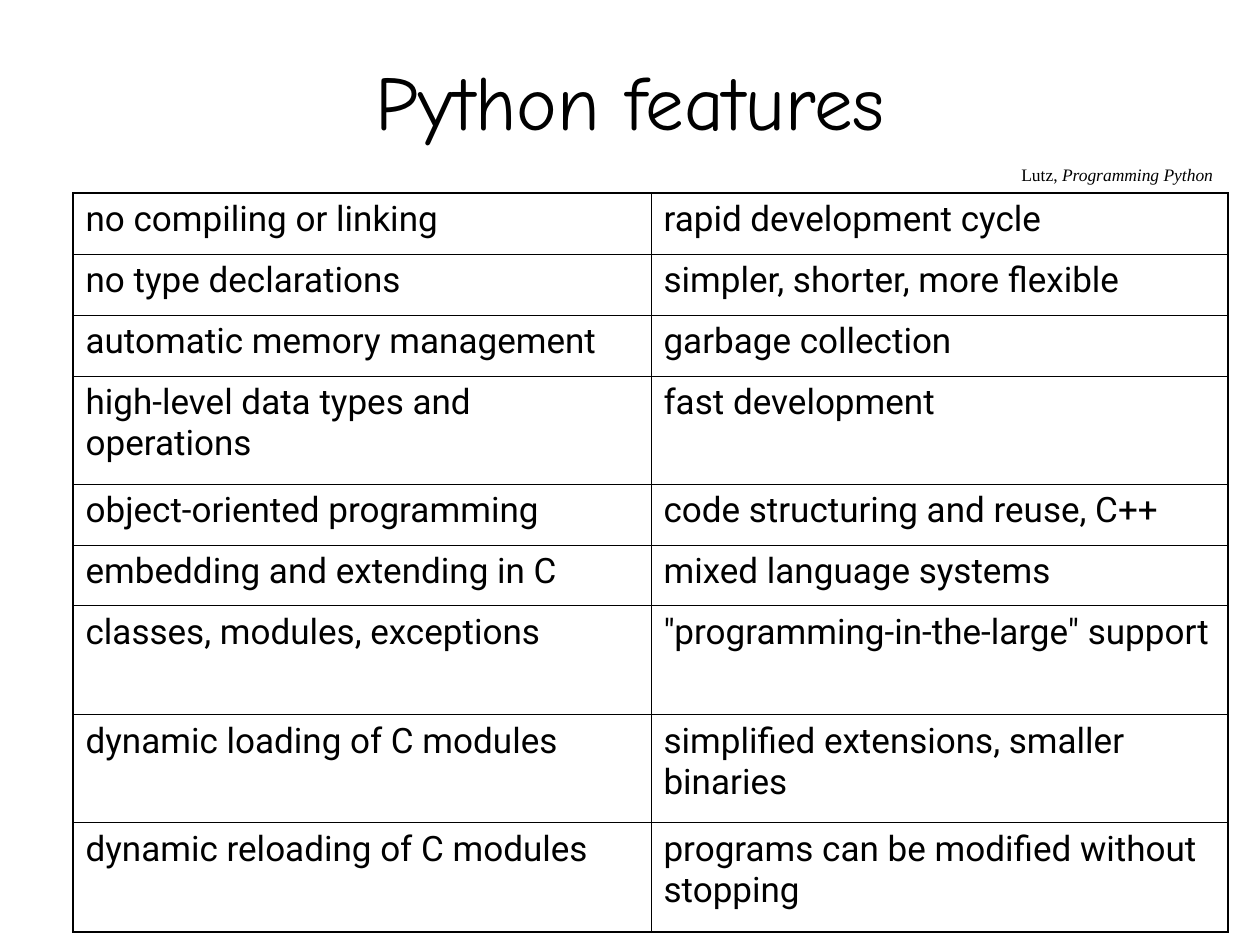
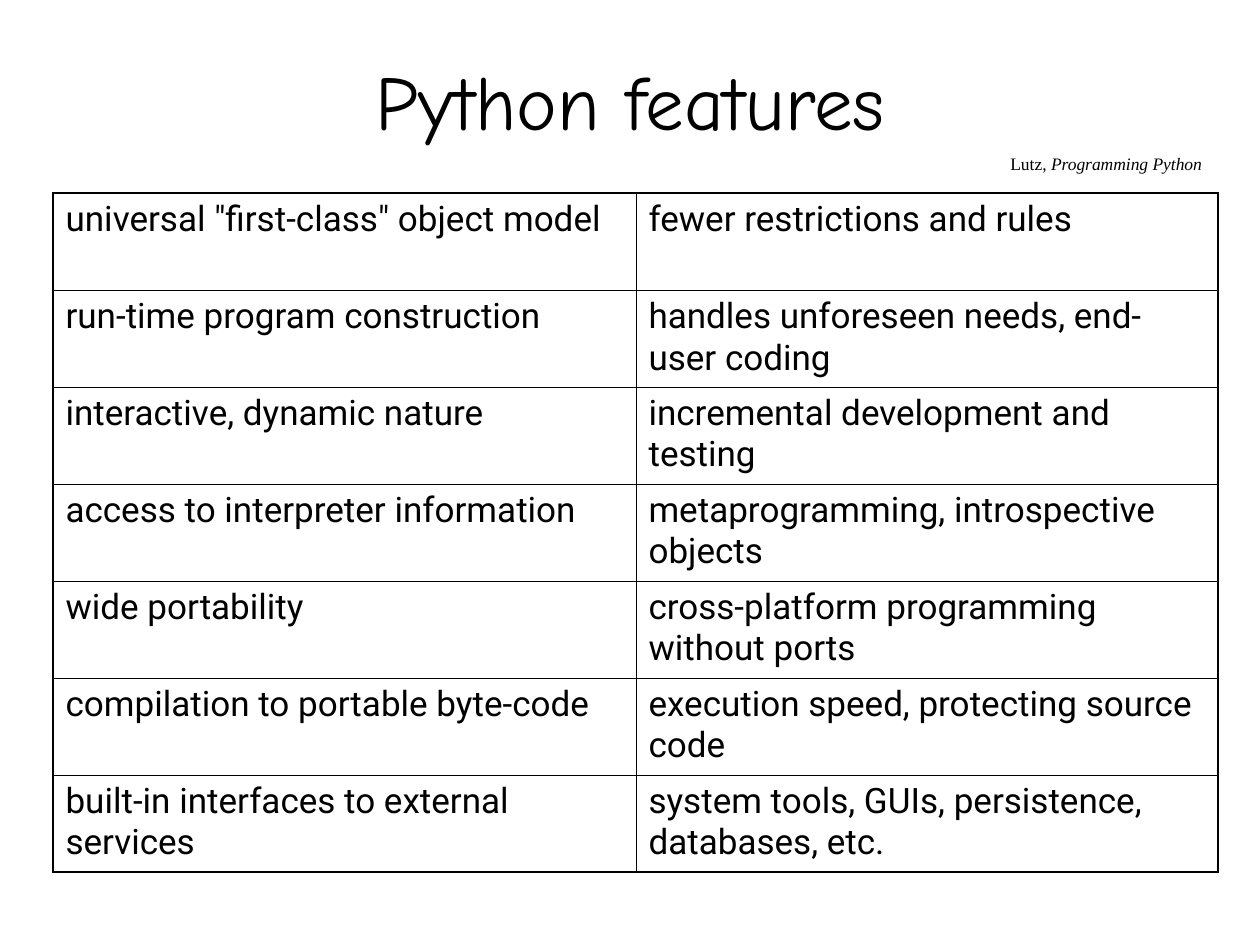
from lxml.etree import SubElement
from pptx import Presentation
from pptx.dml.color import RGBColor
from pptx.enum.text import MSO_ANCHOR as Anchor, MSO_AUTO_SIZE as AutoSize, PP_ALIGN as Align
from pptx.oxml.ns import qn
from pptx.util import Emu, Inches, Pt

SCALE = Inches(1) // 126  # EMU per px
BLACK = RGBColor(0, 0, 0)
TITLE_FONT, CELL_FONT, CREDIT_FONT = "Comic Neue", "Roboto", "Times New Roman"
OUTER_LINE, INNER_LINE = Pt(1.08), Pt(0.45)
TABLE_TOP = 193

LANGUAGE_FEATURES = [
    ("no compiling or linking", "rapid development cycle"),
    ("no type declarations", "simpler, shorter, more flexible"),
    ("automatic memory management", "garbage collection"),
    ("high-level data types and operations", "fast development"),
    ("object-oriented programming", "code structuring and reuse, C++"),
    ("embedding and extending in C", "mixed language systems"),
    ("classes, modules, exceptions", '"programming-in-the-large" support'),
    ("dynamic loading of C modules", "simplified extensions, smaller binaries"),
    ("dynamic reloading of C modules", "programs can be modified without stopping"),
]
RUNTIME_FEATURES = [
    ('universal "first-class" object model', "fewer restrictions and rules"),
    ("run-time program construction", "handles unforeseen needs, end-user coding"),
    ("interactive, dynamic nature", "incremental development and testing"),
    ("access to interpreter information", "metaprogramming, introspective objects"),
    ("wide portability", "cross-platform programming without ports"),
    ("compilation to portable byte-code", "execution speed, protecting source code"),
    ("built-in interfaces to external services",
     "system tools, GUIs, persistence, databases, etc."),
]


def px(*lengths):
    return [Emu(length * SCALE) for length in lengths]


def set_font(paragraph, name, size):
    paragraph.font.name = name
    paragraph.font.size = Pt(size)
    paragraph.font.color.rgb = BLACK


def set_borders(cell, widths):
    """Draw the left, right, top and bottom lines of a cell."""
    properties = cell._tc.get_or_add_tcPr()
    for side, width in zip("LRTB", widths):
        line = SubElement(properties, qn(f"a:ln{side}"), w=str(int(width)))
        fill = SubElement(line, qn("a:solidFill"))
        SubElement(fill, qn("a:srgbClr"), val=str(BLACK))


class FeatureDeck:
    def __init__(self):
        self.deck = Presentation()
        self.deck.slide_width, self.deck.slide_height = px(1260, 945)
        self.page = None

    def add_page(self):
        self.page = self.deck.slides.add_slide(self.deck.slide_layouts[6])

    def title(self, text):
        frame = self.page.shapes.add_textbox(*px(95, 21, 1071, 158)).text_frame
        frame.word_wrap = True
        frame.vertical_anchor = Anchor.MIDDLE
        para = frame.paragraphs[0]
        para.text = text
        para.alignment = Align.CENTER
        set_font(para, TITLE_FONT, 44)

    def table(self, left, column_widths, row_heights, rows):
        frame = self.page.shapes.add_table(
            len(rows), len(column_widths),
            *px(left, TABLE_TOP, sum(column_widths), sum(row_heights)))
        table = frame.table
        table.first_row = table.horz_banding = False
        for column, width in zip(table.columns, px(*column_widths)):
            column.width = width
        for row, height in zip(table.rows, px(*row_heights)):
            row.height = height
        last_row, last_column = len(rows) - 1, len(column_widths) - 1
        for r, texts in enumerate(rows):
            for c, text in enumerate(texts):
                on_edge = (c == 0, c == last_column, r == 0, r == last_row)
                self.cell(table.cell(r, c), text, on_edge)

    def cell(self, cell, text, on_edge):
        cell.text = text
        para = cell.text_frame.paragraphs[0]
        para.space_before = Pt(5)
        set_font(para, CELL_FONT, 20)
        set_borders(cell, [OUTER_LINE if edge else INNER_LINE for edge in on_edge])
        cell.fill.background()

    def credit(self, left, top, author, work):
        frame = self.page.shapes.add_textbox(*px(left, top, 217, 34)).text_frame
        frame.word_wrap = False
        frame.auto_size = AutoSize.SHAPE_TO_FIT_TEXT
        para = frame.paragraphs[0]
        set_font(para, CREDIT_FONT, 10)
        para.add_run().text = f"{author}, "
        span = para.add_run()
        span.text = work
        span.font.italic = True

    def feature_page(self, left, column_widths, row_heights, rows, credit_at):
        self.add_page()
        self.title("Python features")
        self.table(left, column_widths, row_heights, rows)
        self.credit(*credit_at, "Lutz", "Programming Python")

    def save(self):
        self.deck.save("out.pptx")


def main():
    deck = FeatureDeck()
    deck.feature_page(73, [578, 577], [61, 61, 61, 108, 61, 61, 109, 108, 109],
                      LANGUAGE_FEATURES, credit_at=(1009, 158))
    deck.feature_page(53, [583, 582], [97] * len(RUNTIME_FEATURES),
                      RUNTIME_FEATURES, credit_at=(998, 147))
    deck.save()


if __name__ == "__main__":
    main()
